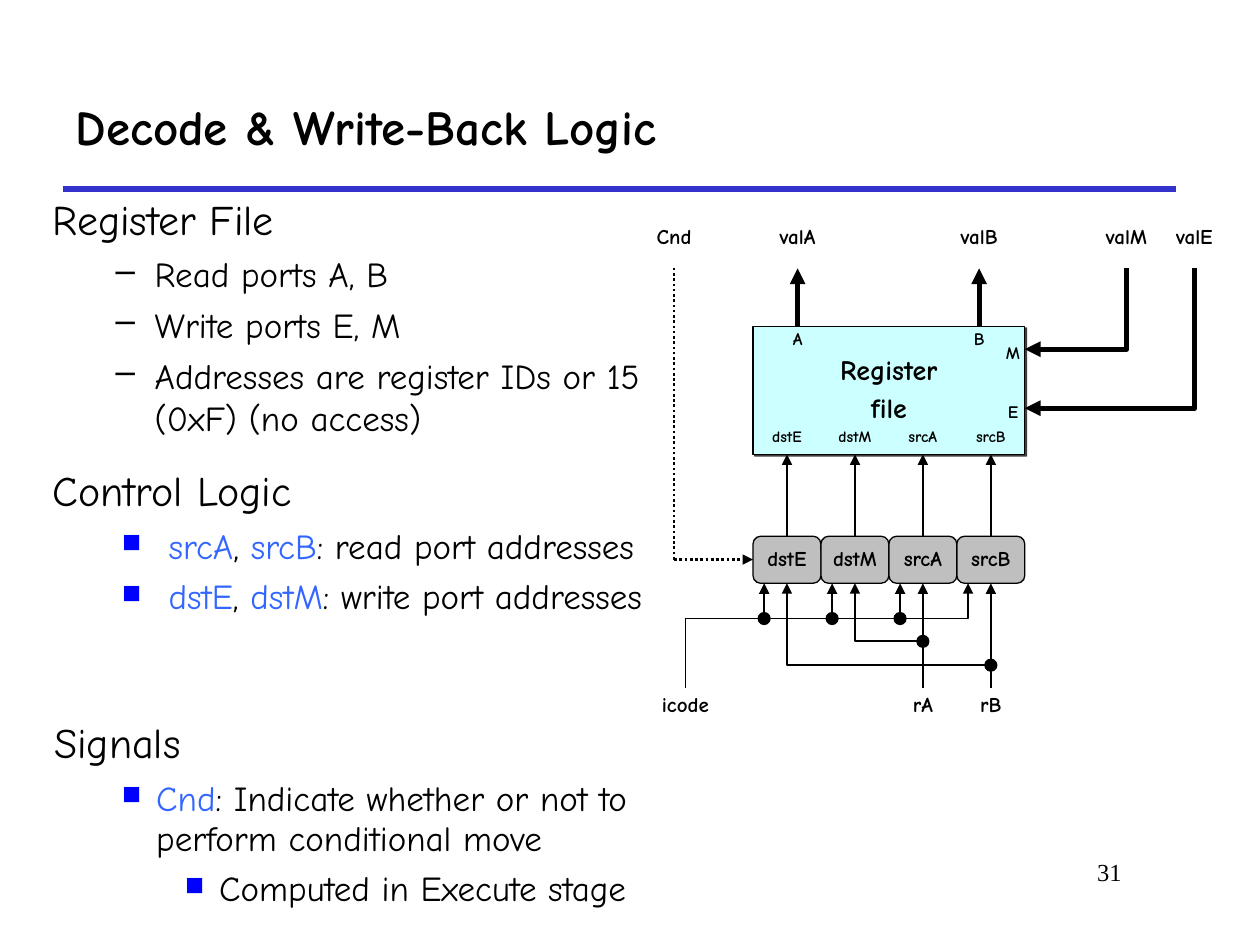
from lxml import etree
from pptx import Presentation
from pptx.dml.color import RGBColor
from pptx.enum import dml, shapes, text
from pptx.oxml.ns import qn
from pptx.util import Cm, Pt

BLACK = RGBColor(0, 0, 0)
BLUE = RGBColor(0x33, 0x66, 0xFF)
RULE = RGBColor(0x33, 0x33, 0xCC)
GREY = RGBColor(0xBF, 0xBF, 0xBF)
CYAN = RGBColor(0xCC, 0xFF, 0xFF)
FONT = "Comic Neue"
OVAL = shapes.MSO_SHAPE.OVAL

DASH = ("–", "000000", 100)
SQUARE = ("■", "0000FF", 75)
TITLE = "Decode & Write-Back Logic"

# Each block: box, line spacing, paragraphs of (runs, size, space before, bullet, margin, hanging, level)
BLOCKS = [
    ((0.81, 3.78, 13.39, 7.21), 1.0, [
        (["Register File"], 24, 0, None, 0, 0, 0),
        (["Read ports A, B"], 20, 5, DASH, 2.06, 0.79, 1),
        (["Write ports E, M"], 20, 5, DASH, 2.06, 0.79, 1),
        (["Addresses are register IDs or 15 (0xF) (no access)"], 20, 5, DASH, 2.06, 0.79, 1),
    ]),
    ((0.81, 9.32, 12.98, 5.08), 0.95, [
        (["Control Logic"], 24, 0, None, 1.07, 1.07, 0),
        (["*srcA", ", ", "*srcB", ": read port addresses"], 20, 6.2, SQUARE, 2.34, 0.94, 1),
        (["*dstE", ", ", "*dstM", ": write port addresses"], 20, 6.2, SQUARE, 2.34, 0.94, 1),
    ]),
    ((0.84, 14.4, 12.98, 4.45), 0.95, [
        (["Signals"], 24, 0, None, 1.07, 1.07, 0),
        (["*Cnd", ": Indicate whether or not to perform conditional move"],
         20, 6.2, SQUARE, 2.06, 0.69, 1),
        (["Computed in Execute stage"], 20, 6.2, SQUARE, 3.33, 0.69, 2),
    ]),
]

PORTS = ["dstE", "dstM", "srcA", "srcB"]
LEFT, PITCH = 15.18, 1.37
MID = [LEFT + PITCH * (i + 0.5) for i in range(len(PORTS))]
TAPS = [x - 0.46 for x in MID]
RIGHT = LEFT + PITCH * len(PORTS)
FILE_TOP, FILE_BOTTOM = 6.58, 9.16
BOX_TOP, BOX_BOTTOM = 10.81, 11.76
TOP, BOTTOM = 5.41, 13.87
BUS_Y, RA_Y, RB_Y = 12.47, 12.93, 13.41
VAL_A, VAL_B, VAL_M, VAL_E = 16.08, 19.74, 22.71, 24.08
M_Y, E_Y = 7.04, 8.23
CND, CND_Y, ICODE = 13.59, 11.28, 13.82

LABELS = [(n, x, 4.8, 12) for n, x in [("Cnd", CND), ("valA", VAL_A), ("valB", VAL_B),
                                       ("valM", VAL_M), ("valE", VAL_E)]]
LABELS += [(n, x, 14.22, 12) for n, x in [("icode", ICODE), ("rA", MID[2]), ("rB", MID[3])]]
LABELS += [(n, x, 8.81, 9) for n, x in zip(PORTS, MID)]
PORT_LETTERS = [("A", VAL_A, 6.85), ("B", VAL_B, 6.85), ("M", 20.42, 7.13), ("E", 20.42, 8.32)]

WIRES = [([(x, FILE_TOP), (x, TOP)], 3) for x in (VAL_A, VAL_B)]
WIRES += [([(x, TOP), (x, y), (RIGHT, y)], 3) for x, y in ((VAL_M, M_Y), (VAL_E, E_Y))]
WIRES += [([(x, BOX_TOP), (x, FILE_BOTTOM)], 1) for x in MID]
WIRES += [([(x, BOTTOM), (x, BOX_BOTTOM)], 1) for x in MID[2:]]
WIRES += [([(x, BUS_Y), (x, BOX_BOTTOM)], 1) for x in TAPS[:3]]
WIRES += [
    ([(MID[2], RA_Y), (MID[1], RA_Y), (MID[1], BOX_BOTTOM)], 1),
    ([(MID[3], RB_Y), (MID[0], RB_Y), (MID[0], BOX_BOTTOM)], 1),
    ([(ICODE, BOTTOM), (ICODE, BUS_Y), (TAPS[3], BUS_Y), (TAPS[3], BOX_BOTTOM)], 1),
]
DOTS = [(x, BUS_Y) for x in TAPS[:3]] + [(MID[2], RA_Y), (MID[3], RB_Y)]

prs = Presentation()
prs.slide_width, prs.slide_height = Cm(25.4), Cm(19.05)
s = prs.slides.add_slide(prs.slide_layouts[5])


def child(parent, tag, **attrs):
    return etree.SubElement(parent, qn(tag), attrs)


def set_font(font, size, bold=False, name=FONT):
    font.name, font.size, font.bold = name, Pt(size), bold
    font.color.rgb = BLACK


def put_text(sp, lines, size, before=0):
    tf = sp.text_frame
    tf.word_wrap = False
    tf.vertical_anchor = text.MSO_ANCHOR.MIDDLE
    for i, line in enumerate(lines):
        p = tf.add_paragraph() if i else tf.paragraphs[0]
        p.text = line
        p.alignment = text.PP_ALIGN.CENTER
        p.line_spacing = 0.9
        if i:
            p.space_before = Pt(before)
        set_font(p.font, size, True)


def add_box(kind, x, y, w, h, fill=None):
    sp = s.shapes.add_shape(kind, Cm(x), Cm(y), Cm(w), Cm(h))
    sp.shadow.inherit = False
    if fill is None:
        sp.fill.background()
        sp.line.fill.background()
    else:
        sp.fill.solid()
        sp.fill.fore_color.rgb = fill
        sp.line.color.rgb = BLACK
        sp.line.width = Pt(0.75)
    return sp


def add_wire(points, width, color=BLACK, arrow=True, dash=None):
    pts = [(Cm(x), Cm(y)) for x, y in points]
    if len(pts) == 2:
        sp = s.shapes.add_connector(shapes.MSO_CONNECTOR.STRAIGHT, *pts[0], *pts[1])
    else:
        fb = s.shapes.build_freeform(*pts[0])
        fb.add_line_segments(pts[1:], close=False)
        sp = fb.convert_to_shape()
        sp.fill.background()
    sp.line.color.rgb = color
    sp.line.width = Pt(width)
    if dash:
        sp.line.dash_style = dash
    if arrow:
        child(sp.line._get_or_add_ln(), "a:tailEnd", type="triangle")
    child(sp._element.spPr, "a:effectLst")


def add_block(box, spacing, paragraphs):
    tf = s.shapes.add_textbox(*map(Cm, box)).text_frame
    tf.word_wrap = True
    for i, (runs, size, before, bullet, margin, hang, level) in enumerate(paragraphs):
        p = tf.add_paragraph() if i else tf.paragraphs[0]
        p.level = level
        p.line_spacing = spacing
        p.space_before = Pt(before)
        pPr = p._p.get_or_add_pPr()
        pPr.set("marL", str(Cm(margin)))
        pPr.set("indent", str(-Cm(hang)))
        if bullet:
            char, color, percent = bullet
            child(child(pPr, "a:buClr"), "a:srgbClr", val=color)
            child(pPr, "a:buSzPct", val=str(percent * 1000))
            child(pPr, "a:buChar", char=char)
        set_font(p.font, size)
        for part in runs:
            r = p.add_run()
            r.text = part.lstrip("*")
            if part.startswith("*"):
                r.font.color.rgb = BLUE


add_wire([(1.27, 3.81), (23.7, 3.81)], 3, RULE, arrow=False)
title = s.shapes.title
title.left, title.top, title.width, title.height = Cm(1.27), Cm(1.27), Cm(22.43), Cm(2.54)
title.text_frame.text = TITLE
title.text_frame.vertical_anchor = text.MSO_ANCHOR.MIDDLE
p = title.text_frame.paragraphs[0]
p.alignment = text.PP_ALIGN.LEFT
set_font(p.font, 28, True)

for block in BLOCKS:
    add_block(*block)

register = add_box(shapes.MSO_SHAPE.RECTANGLE, LEFT, FILE_TOP, RIGHT - LEFT,
                   FILE_BOTTOM - FILE_TOP, CYAN)
put_text(register, ["Register", "file"], 16, 4)
shadow = child(register._element.spPr.find(qn("a:effectLst")), "a:outerShdw",
               dist=str(Pt(1.4)), dir="2700000")
child(child(shadow, "a:srgbClr", val="000000"), "a:alpha", val="75000")

for i, name in enumerate(PORTS):
    sp = add_box(shapes.MSO_SHAPE.ROUNDED_RECTANGLE, LEFT + i * PITCH, BOX_TOP, PITCH,
                 BOX_BOTTOM - BOX_TOP, GREY)
    put_text(sp, [name], 12)
for name, x, y, size in LABELS:
    put_text(add_box(OVAL, x - PITCH / 2, y - 0.58, PITCH, 1.16), [name], size)
for name, x, y in PORT_LETTERS:
    put_text(s.shapes.add_textbox(Cm(x - 0.46), Cm(y - 0.32), Cm(0.92), Cm(0.64)), [name], 10)

for points, width in WIRES:
    add_wire(points, width)
DOTTED = dml.MSO_LINE.ROUND_DOT
add_wire([(CND, CND_Y), (CND, TOP)], 1.5, arrow=False, dash=DOTTED)
add_wire([(CND, CND_Y), (LEFT, CND_Y)], 1.5, dash=DOTTED)
for x, y in DOTS:
    add_box(OVAL, x - 0.12, y - 0.12, 0.24, 0.24, BLACK)

tf = s.shapes.add_textbox(Cm(19.25), Cm(17.15), Cm(3.61), Cm(1.27)).text_frame
tf.word_wrap = True
p = tf.paragraphs[0]
p.text = "31"
p.alignment = text.PP_ALIGN.RIGHT
set_font(p.font, 14, name="Times New Roman")

prs.save("out.pptx")
